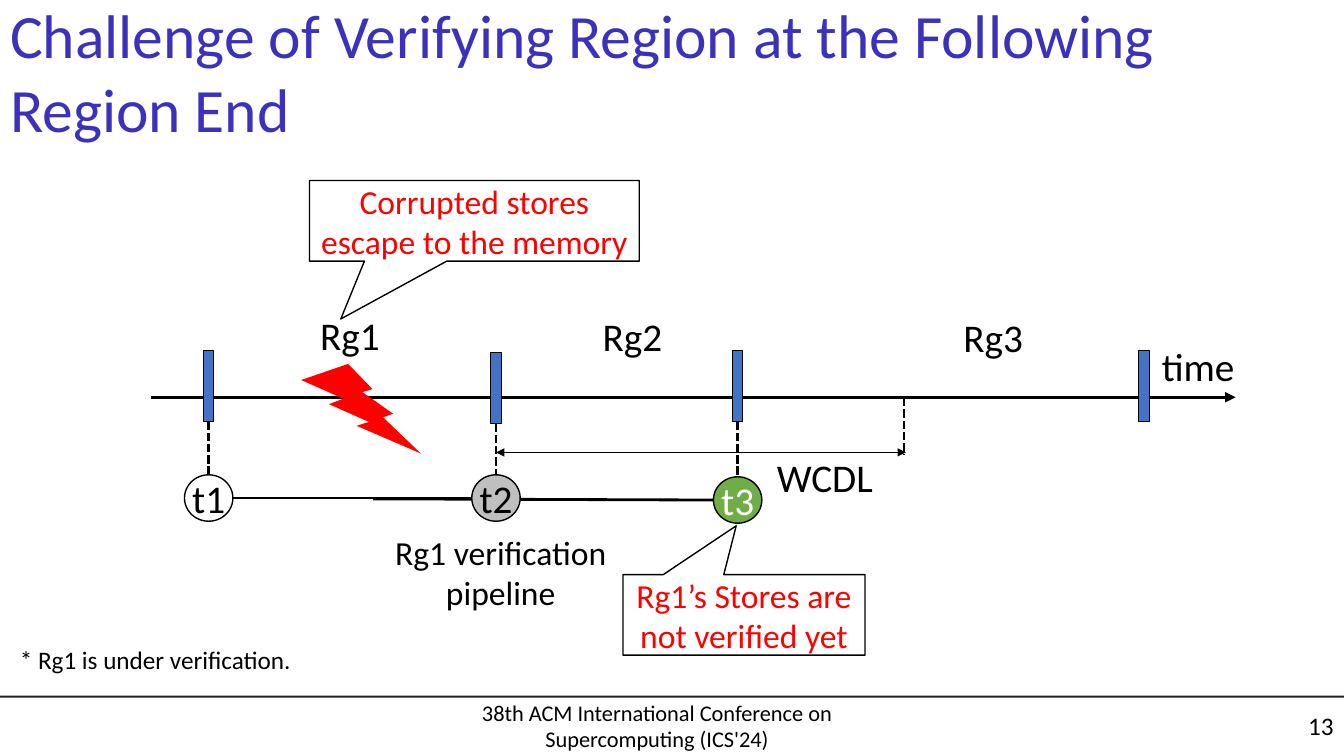
from dataclasses import dataclass

from pptx import Presentation
from pptx.dml.color import RGBColor
from pptx.enum.dml import MSO_LINE_DASH_STYLE as Dash
from pptx.enum.shapes import MSO_CONNECTOR as Link, MSO_SHAPE as Kind
from pptx.enum.text import MSO_ANCHOR as Anchor, MSO_AUTO_SIZE as Fit, PP_ALIGN as Align
from pptx.oxml.ns import qn
from pptx.shapes.autoshape import Shape
from pptx.slide import Slide
from pptx.text.text import TextFrame
from pptx.util import Cm, Pt
from lxml.etree import SubElement

BLACK = RGBColor(0, 0, 0)
WHITE = RGBColor(255, 255, 255)
RED = RGBColor(255, 0, 0)
BLUE = RGBColor(0x44, 0x72, 0xC4)
GREEN = RGBColor(0x70, 0xAD, 0x47)
GRAY = RGBColor(0xBF, 0xBF, 0xBF)
INDIGO = RGBColor(0x3B, 0x31, 0xBD)
INK = RGBColor(0x23, 0x1F, 0x20)

Box = tuple[float, float, float, float]
PAGE = (33.87, 19.05)
AXIS = 10.01
T1, T2, T3, END = 5.26, 12.5, 18.59, 28.83


@dataclass
class Label:
    text: str
    box: Box
    size: int = 28
    align: Align = Align.LEFT
    anchor: Anchor = Anchor.TOP
    wrap: bool = False


@dataclass
class Line:
    start: tuple[float, float]
    stop: tuple[float, float]
    width: float = 2
    dashed: bool = False
    ends: tuple[str, ...] = ()


@dataclass
class Node:
    text: str
    x: float
    y: float
    fill: RGBColor
    color: RGBColor = BLACK


@dataclass
class Callout:
    text: str
    box: Box
    tip: tuple[float, float]


LABELS = [
    Label("time", (29.03, 8.51, 2.36, 1.45)),
    Label("Rg1", (7.82, 7.72, 2.03, 1.45)),
    Label("Rg2", (14.94, 7.75, 2.03, 1.45)),
    Label("Rg3", (24.03, 7.77, 2.03, 1.45)),
    Label("WCDL", (19.33, 11.3, 3.96, 1.45), wrap=True),
    Label("Rg1 verification pipeline", (9.7, 13.28, 5.84, 2.2), 24, Align.CENTER, wrap=True),
    Label("* Rg1 is under verification.", (0.25, 16.1, 7.39, 1.02), 18),
    Label("38th ACM International Conference on Supercomputing (ICS'24)",
          (10.49, 17.7, 12.14, 1.17), 16, Align.CENTER, Anchor.MIDDLE, True),
    Label("13", (31.42, 17.78, 2.44, 1.02), 18, Align.RIGHT, Anchor.MIDDLE, True),
]
LINES = [
    Line((3.81, AXIS), (31.14, AXIS), 2.5, ends=("tailEnd",)),
    Line((T2, 11.4), (22.83, 11.4), 1, ends=("headEnd", "tailEnd")),
    Line((T1, 10.62), (T1, 11.96), dashed=True),
    Line((T2, 10.67), (T2, 11.96), dashed=True),
    Line((T3, 10.62), (T3, 12.01), dashed=True),
    Line((22.78, 10.03), (22.78, 11.46), dashed=True),
    Line((5.84, 12.55), (11.89, 12.55)),
    Line((9.4, 12.57), (17.98, 12.6)),
]
TICKS = [(T1, 8.84), (T2, 8.89), (T3, 8.84), (END, 8.84)]
NODES = [
    Node("t1", T1, 12.55, WHITE),
    Node("t2", T2, 12.55, GRAY),
    Node("t3", T3, 12.6, GREEN, WHITE),
]
CALLOUTS = [
    Callout("Corrupted stores\nescape to the memory", (7.8, 4.55, 8.31, 2.03), (-0.405, 1.219)),
    Callout("Rg1’s Stores are\nnot verified yet", (15.7, 14.48, 6.1, 2.03), (-0.032, -1.106)),
]


def write(frame: TextFrame, text: str, size: int, color: RGBColor = BLACK,
          align: Align = Align.CENTER, **form) -> None:
    """Fill a frame with text; form holds further frame attributes."""
    frame.text = text
    look = {"auto_size": Fit.NONE, "word_wrap": True, "vertical_anchor": Anchor.MIDDLE} | form
    for key, val in look.items():
        setattr(frame, key, val)
    for para in frame.paragraphs:
        para.alignment = align
        for key, val in {"name": "Calibri", "size": Pt(size)}.items():
            setattr(para.font, key, val)
        para.font.color.rgb = color


def add_form(slide: Slide, kind: Kind, box: Box, fill: RGBColor | None = None,
             edge: float | None = None) -> Shape:
    """Add a preset shape; edge is the outline width in points."""
    form = slide.shapes.add_shape(kind, *map(Cm, box))
    form.shadow.inherit = False
    if fill is None:
        form.fill.background()
    else:
        form.fill.solid()
        form.fill.fore_color.rgb = fill
    if edge is None:
        form.line.fill.background()
    else:
        form.line.color.rgb = BLACK
        form.line.width = Pt(edge)
    return form


def add_line(slide: Slide, line: Line) -> None:
    link = slide.shapes.add_connector(Link.STRAIGHT, *map(Cm, line.start + line.stop))
    link.line.color.rgb = BLACK
    link.line.width = Pt(line.width)
    if line.dashed:
        link.line.dash_style = Dash.SQUARE_DOT
    props = link._element.spPr
    for end in line.ends:
        SubElement(props.find(qn("a:ln")), qn(f"a:{end}"), type="triangle")
    SubElement(props, qn("a:effectLst"))


def add_label(slide: Slide, label: Label) -> None:
    frame = slide.shapes.add_textbox(*map(Cm, label.box)).text_frame
    write(frame, label.text, label.size, align=label.align,
          vertical_anchor=label.anchor, word_wrap=label.wrap)


def add_node(slide: Slide, node: Node) -> None:
    wide, high = 1.22, 1.17
    box = (node.x - wide / 2, node.y - high / 2, wide, high)
    form = add_form(slide, Kind.OVAL, box, node.fill, 1)
    write(form.text_frame, node.text, 28, node.color, word_wrap=False,
          margin_left=0, margin_right=0, margin_top=0, margin_bottom=0)


def add_callout(slide: Slide, note: Callout) -> None:
    form = add_form(slide, Kind.RECTANGULAR_CALLOUT, note.box, edge=1)
    for i, val in enumerate(note.tip):
        form.adjustments[i] = val
    write(form.text_frame, note.text, 24, RED, margin_left=0, margin_right=0)


def add_title(slide: Slide) -> None:
    title = slide.shapes.title
    place = dict(zip(("left", "top", "width", "height"), map(Cm, (0, 0, PAGE[0], 3.56))))
    for key, val in place.items():
        setattr(title, key, val)
    write(title.text_frame, "Challenge of Verifying Region at the Following Region End",
          44, INDIGO, Align.LEFT)


def main() -> None:
    deck = Presentation()
    deck.slide_width, deck.slide_height = map(Cm, PAGE)
    slide = deck.slides.add_slide(deck.slide_layouts[5])
    add_title(slide)
    add_form(slide, Kind.RECTANGLE, (0, 17.53, PAGE[0], 0.05), INK)
    for line in LINES:
        add_line(slide, line)
    for x, top in TICKS:
        add_form(slide, Kind.RECTANGLE, (x - 0.13, top, 0.26, 1.78), BLUE, 0)
    add_form(slide, Kind.LIGHTNING_BOLT, (7.59, 9.17, 3.02, 2.26), RED)
    for node in NODES:
        add_node(slide, node)
    for label in LABELS:
        add_label(slide, label)
    for note in CALLOUTS:
        add_callout(slide, note)
    deck.save("out.pptx")


if __name__ == "__main__":
    main()
